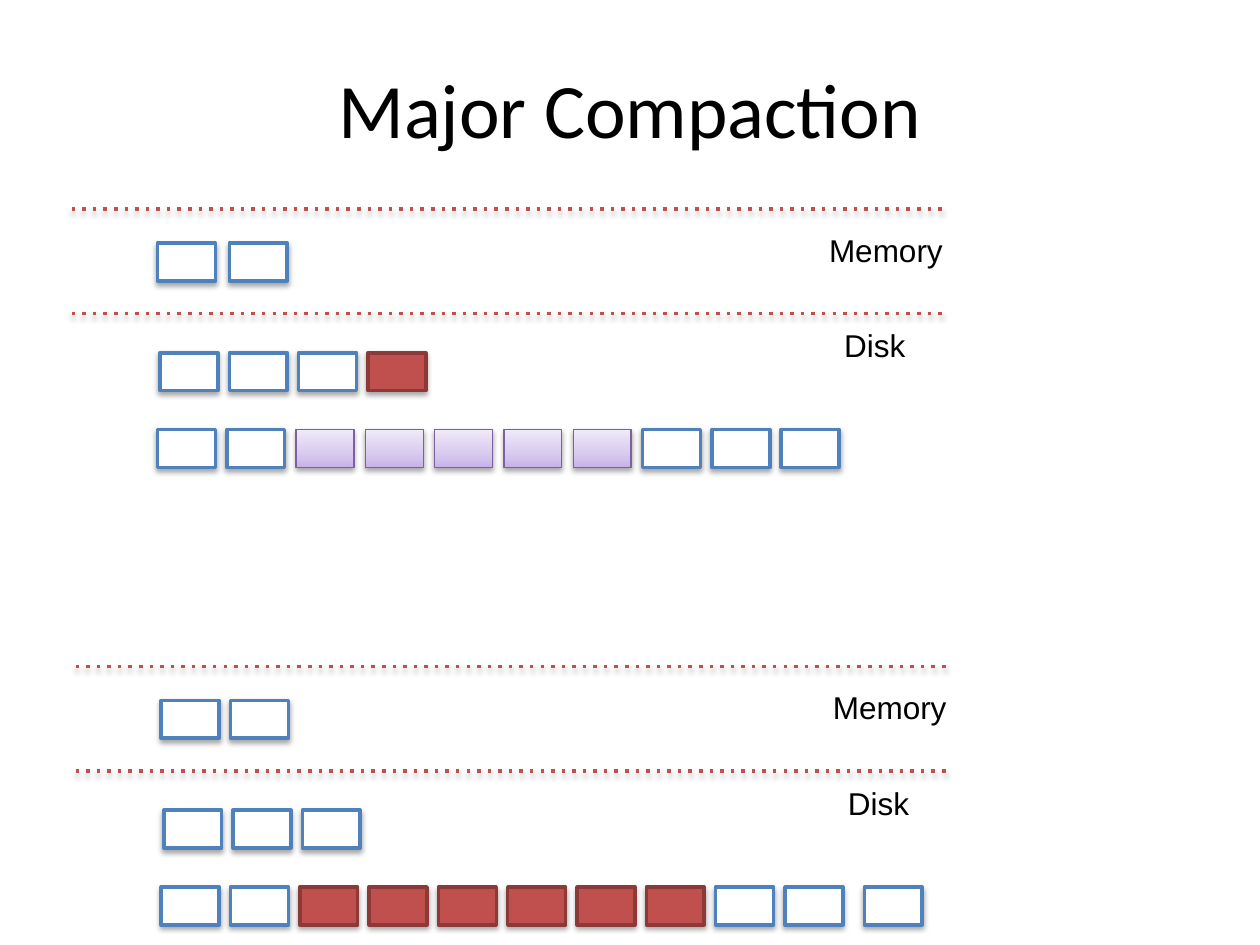
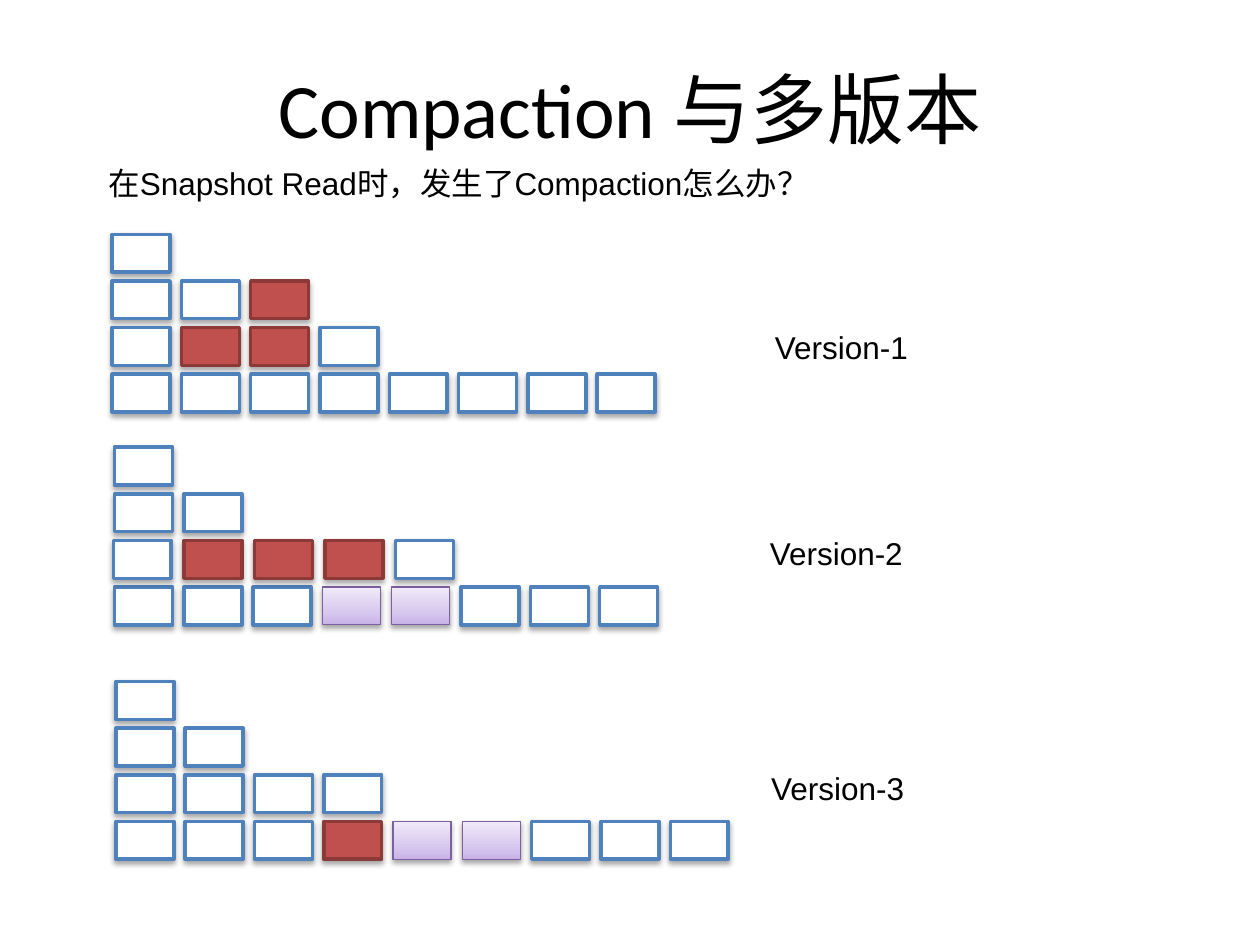
"""Builds two slides on compaction, drawn as rows of data blocks."""
import pptx
import pptx.dml.color
import pptx.enum.shapes
import pptx.enum.text
import pptx.oxml
import pptx.oxml.ns
import pptx.util

Inches = pptx.util.Inches
Pt = pptx.util.Pt
MSO = pptx.enum.text.MSO_ANCHOR
ALIGN = pptx.enum.text.PP_ALIGN

HUES = {
    "text": "000000", "white": "FFFFFF", "blue": "4F81BD",
    "red": "C0504D", "wine": "8C3A38", "plum": "7D60A0",
    "deep": "C8B2E9", "mid": "D8C9EE", "pale": "F0EAF9",
}
KINDS = {"w": ("white", "blue", 2), "r": ("red", "wine", 2), "p": (None, "plum", 0.75)}
NS = pptx.oxml.ns.nsdecls("a")
SHADE = (
    f'<a:effectLst {NS}><a:outerShdw blurRad="38100" dist="22860" dir="5400000" rotWithShape="0">'
    f'<a:srgbClr val="{HUES["text"]}"><a:alpha val="35000"/></a:srgbClr></a:outerShdw></a:effectLst>'
)
STOPS = "".join(
    f'<a:gs pos="{pos}"><a:srgbClr val="{HUES[hue]}"/></a:gs>'
    for pos, hue in ((0, "deep"), (35000, "mid"), (100000, "pale"))
)
BLEND = f'<a:gradFill {NS}><a:gsLst>{STOPS}</a:gsLst><a:lin ang="16200000" scaled="0"/></a:gradFill>'
DOTS = f'<a:custDash {NS}><a:ds d="100000" sp="200000"/></a:custDash>'
STEP = 0.55
RISE = 0.37


def rgb(hue):
    return pptx.dml.color.RGBColor.from_string(HUES[hue])


def write(box, text, size=18, font="Arial", align=ALIGN.LEFT, anchor=MSO.TOP, inset=0):
    frame = box.text_frame
    frame.word_wrap = True
    frame.auto_size = pptx.enum.text.MSO_AUTO_SIZE.NONE
    frame.vertical_anchor = anchor
    frame.margin_left = frame.margin_right = Inches(inset)
    frame.margin_top = frame.margin_bottom = Inches(inset)
    line = frame.paragraphs[0]
    line.alignment = align
    run = line.add_run()
    run.text = text
    run.font.size = Pt(size)
    run.font.name = font
    run.font.color.rgb = rgb("text")


def label(slide, text, left, top, width, inset=0):
    box = slide.shapes.add_textbox(Inches(left), Inches(top), Inches(width), Inches(0.41))
    write(box, text, inset=inset)


def start(deck, text):
    slide = deck.slides.add_slide(deck.slide_layouts[5])
    title = slide.shapes.title
    title.left, title.top = Inches(0.5), Inches(0.3)
    title.width, title.height = Inches(9), Inches(1.11)
    write(title, text, size=44, font="Calibri", align=ALIGN.CENTER, anchor=MSO.MIDDLE)
    return slide


def shade(shape):
    shape._element.spPr.append(pptx.oxml.parse_xml(SHADE))


def block(slide, kind, left, top):
    fill, edge, width = KINDS[kind]
    shape = slide.shapes.add_shape(
        pptx.enum.shapes.MSO_SHAPE.RECTANGLE,
        Inches(left), Inches(top), Inches(0.46), Inches(0.3))
    if fill:
        shape.fill.solid()
        shape.fill.fore_color.rgb = rgb(fill)
    else:
        form = shape._element.spPr.find(pptx.oxml.ns.qn("a:prstGeom"))
        form.addnext(pptx.oxml.parse_xml(BLEND))
    shape.line.color.rgb = rgb(edge)
    shape.line.width = Pt(width)
    shade(shape)


def row(slide, kinds, left, top, step=STEP):
    for i, kind in enumerate(kinds):
        block(slide, kind, left + i * step, top)


def stack(slide, rows, left, top):
    for i, kinds in enumerate(rows):
        row(slide, kinds, left, top + i * RISE)


def rule(slide, left, top):
    line = slide.shapes.add_connector(
        pptx.enum.shapes.MSO_CONNECTOR.STRAIGHT,
        Inches(left), Inches(top), Inches(left + 6.94), Inches(top))
    line.line.color.rgb = rgb("red")
    line.line.width = Pt(2)
    line.line._get_or_add_ln().append(pptx.oxml.parse_xml(DOTS))
    shade(line)


def store(slide, left, top, upper, lower, step=STEP):
    """Draws the memory band and the two disk rows below it."""
    rule(slide, left, top)
    rule(slide, left, top + 0.83)
    label(slide, "Memory", left + 6.01, top + 0.17, 1.02)
    label(slide, "Disk", left + 6.13, top + 0.93, 0.6)
    row(slide, "ww", left + 0.68, top + 0.27, step)
    row(slide, upper, left + 0.7, top + 1.14)
    row(slide, lower, left + 0.68, top + 1.75)


def main():
    deck = pptx.Presentation()
    deck.slide_width, deck.slide_height = Inches(10), Inches(7.5)

    slide = start(deck, "Major Compaction")
    store(slide, 0.57, 1.66, "wwwr", "wwpppppwww", step=0.57)
    store(slide, 0.6, 5.29, "www", "wwrrrrrrww")
    block(slide, "w", 6.86, 7.04)

    slide = start(deck, "Compaction 与多版本")
    label(slide, "在Snapshot Read时，发生了Compaction怎么办？", 0.81, 1.25, 6.11, inset=0.05)
    stack(slide, ["w", "wwr", "wrrw", "wwwwwwww"], 0.89, 1.86)
    stack(slide, ["w", "ww", "", "wwwppwww"], 0.91, 3.55)
    row(slide, "wrrrw", 0.9, 4.29, step=0.56)
    stack(slide, ["w", "ww", "wwww", "wwwrppwww"], 0.92, 5.41)
    label(slide, "Version-1", 6.1, 2.55, 1.17, inset=0.05)
    label(slide, "Version-2", 6.11, 4.24, 1.17)
    label(slide, "Version-3", 6.12, 6.1, 1.17)

    deck.save("out.pptx")


if __name__ == "__main__":
    main()
